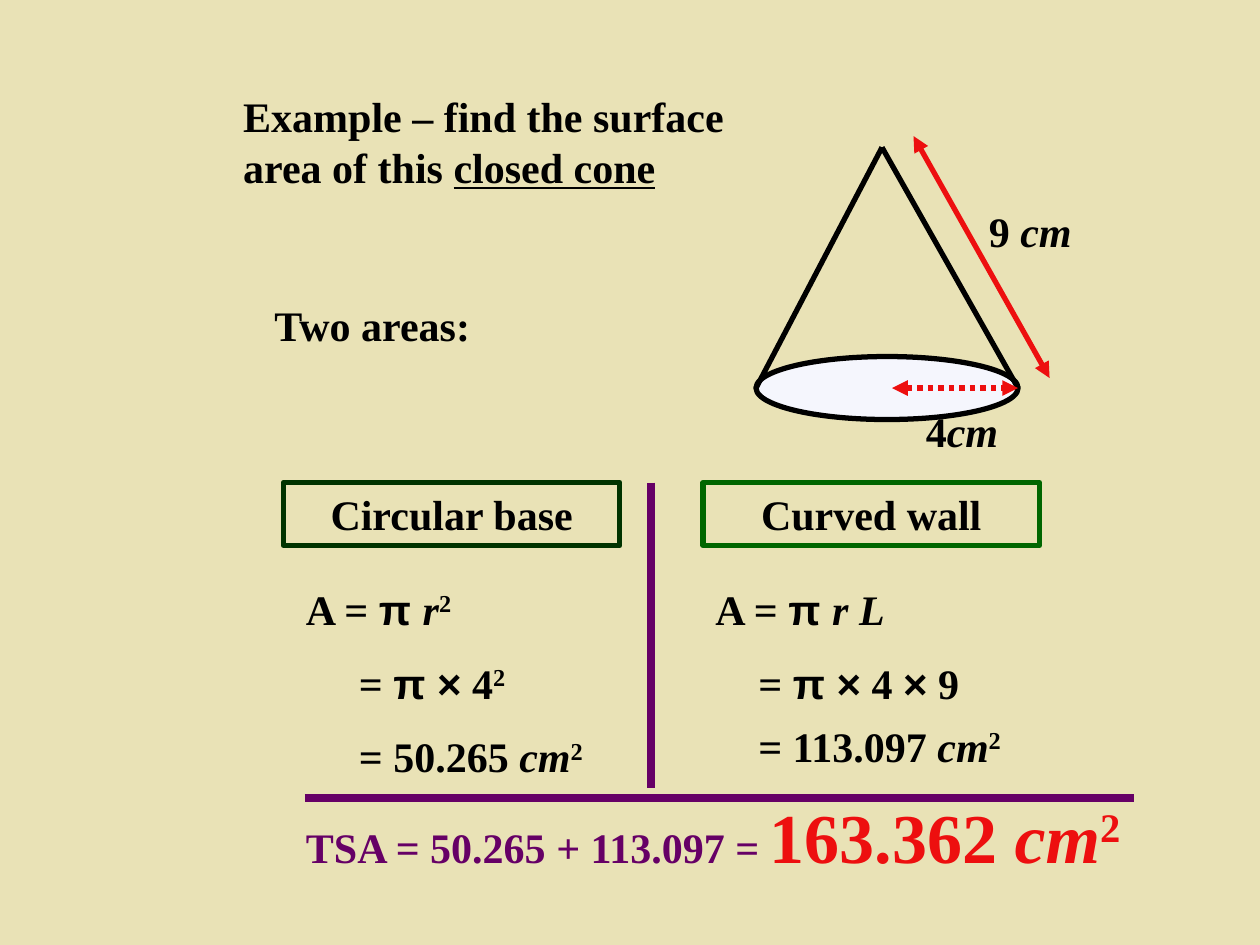
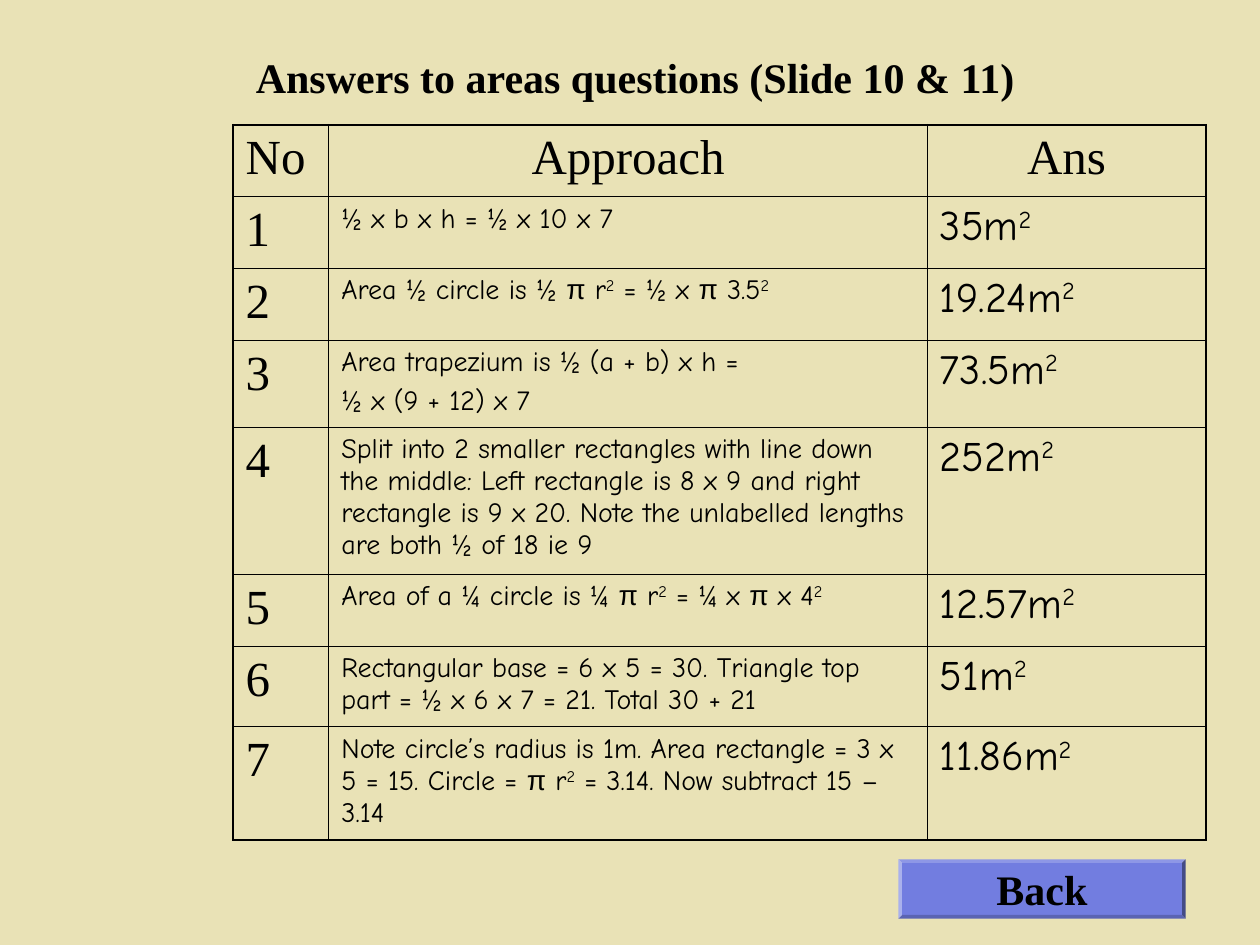
import pptx
import pptx.dml.color
import pptx.enum.dml
import pptx.enum.shapes
import pptx.enum.text
import pptx.oxml
import pptx.oxml.ns
import pptx.util

Inches = pptx.util.Inches
Pt = pptx.util.Pt
SHAPE = pptx.enum.shapes.MSO_SHAPE
ALIGN = pptx.enum.text.PP_ALIGN
ANCHOR = pptx.enum.text.MSO_ANCHOR

BACKGROUND = "E9E2B6"
BLACK = "000000"
RED = "ED0F0F"
PURPLE = "660066"
SERIF, SANS, COMIC = "Times New Roman", "Arial", "Comic Neue"

PI = ("π", "sans")
SQUARED = ("2", "super")
CM = ("cm", "italic")
TITLE_ONLY = 5

ANSWERS = [
    (0.57, [["½ x b x h = ½ x 10 x 7"]], "35m"),
    (0.57, [["Area ½ circle is ½ ", PI, " r", SQUARED, " = ½ x ", PI, " 3.5", SQUARED]], "19.24m"),
    (0.69, [["Area trapezium is ½ (a + b) x h ="], ["½ x (9 + 12) x 7"]], "73.5m"),
    (1.17, [["Split into 2 smaller rectangles with line down the middle: "
             "Left rectangle is 8 x 9 and right rectangle is 9 x 20. "
             "Note the unlabelled lengths are both ½ of 18 ie 9"]], "252m"),
    (0.57, [["Area of a ¼ circle is ¼ ", PI, " r", SQUARED, " = ¼ x ", PI, " x 4", SQUARED]], "12.57m"),
    (0.64, [["Rectangular base = 6 x 5 = 30. Triangle top part = ½ x 6 x 7 = 21. "
             "Total 30 + 21"]], "51m"),
    (0.9, [["Note circle’s radius is 1m. Area rectangle = 3 x 5 = 15. Circle = ", PI, " r", SQUARED,
            " = 3.14. Now subtract 15 – 3.14"]], "11.86m"),
]


def rgb(color):
    return pptx.dml.color.RGBColor.from_string(color)


def box(x, y, w, h):
    return Inches(x), Inches(y), Inches(w), Inches(h)


def add_run(p, text, style=""):
    """Add text; style is italic, underline, super, sans or result."""
    r = p.add_run()
    r.text = text
    if style == "super":
        r._r.get_or_add_rPr().set("baseline", "30000")
    elif style == "sans":
        r.font.name = SANS
    elif style == "italic":
        r.font.italic = True
    elif style == "underline":
        r.font.underline = True
    return r


def write(tf, *paragraphs, size=24, font=SERIF, bold=True, color=BLACK, align=ALIGN.LEFT, gap=0):
    """Fill a text frame; a paragraph is a list of strings and (text, style) pairs."""
    tf.word_wrap = True
    for i, parts in enumerate(paragraphs):
        p = tf.add_paragraph() if i else tf.paragraphs[0]
        p.alignment = align
        p.space_before = Pt(gap if i else 0)
        p.font.name, p.font.size, p.font.bold = font, Pt(size), bold
        p.font.color.rgb = rgb(color)
        for part in parts:
            add_run(p, *([part] if isinstance(part, str) else part))


def add_text(slide, x, y, w, h, *parts, **style):
    sp = slide.shapes.add_textbox(*box(x, y, w, h))
    write(sp.text_frame, parts, **style)
    return sp


def add_shape(slide, kind, x, y, w, h, fill=None, line=None):
    sp = slide.shapes.add_shape(kind, *box(x, y, w, h))
    sp.shadow.inherit = False
    if fill:
        sp.fill.solid()
        sp.fill.fore_color.rgb = rgb(fill)
    else:
        sp.fill.background()
    if line:
        sp.line.color.rgb = rgb(line)
        sp.line.width = Pt(3)
    else:
        sp.line.fill.background()
    return sp


def add_line(slide, start, end, color=BLACK, width=3, arrows=False, dotted=False):
    c = slide.shapes.add_connector(
        pptx.enum.shapes.MSO_CONNECTOR.STRAIGHT, *map(Inches, start + end))
    c.line.color.rgb = rgb(color)
    c.line.width = Pt(width)
    if dotted:
        c.line.dash_style = pptx.enum.dml.MSO_LINE.ROUND_DOT
    if arrows:
        for tag in ("a:headEnd", "a:tailEnd"):
            end_mark = pptx.oxml.ns.qn(tag)
            c.line._get_or_add_ln().makeelement(end_mark, {})
            mark = c.line._get_or_add_ln().makeelement(end_mark, {"type": "triangle"})
            c.line._get_or_add_ln().append(mark)
    sp_pr = c._element.spPr
    sp_pr.append(sp_pr.makeelement(pptx.oxml.ns.qn("a:effectLst"), {}))


def new_slide(prs, title_box, *title):
    slide = prs.slides.add_slide(prs.slide_layouts[TITLE_ONLY])
    slide.background.fill.solid()
    slide.background.fill.fore_color.rgb = rgb(BACKGROUND)
    sp = slide.shapes.title
    sp.left, sp.top, sp.width, sp.height = box(*title_box)
    tf = sp.text_frame
    tf.auto_size = pptx.enum.text.MSO_AUTO_SIZE.NONE
    tf.vertical_anchor = ANCHOR.TOP
    write(tf, title)
    return slide


def set_borders(cell, **widths):
    """Set border widths in points; keys are L, R, T and B."""
    tc_pr = cell._tc.get_or_add_tcPr()
    for side in "LRTB":
        tc_pr.append(pptx.oxml.parse_xml(
            f'<a:ln{side} {pptx.oxml.ns.nsdecls("a")} w="{Pt(widths[side])}">'
            f'<a:solidFill><a:srgbClr val="{BLACK}"/></a:solidFill></a:ln{side}>'))


def add_answer_table(slide):
    col_widths = [0.76, 4.75, 2.21]
    heights = [0.57] + [height for height, _, _ in ANSWERS]
    last_row, last_col = len(heights) - 1, len(col_widths) - 1
    table = slide.shapes.add_table(len(heights), len(col_widths),
                                   *box(1.85, 0.99, sum(col_widths), sum(heights))).table
    table.first_row = table.horz_banding = False
    for column, width in zip(table.columns, col_widths):
        column.width = Inches(width)
    for row, height in zip(table.rows, heights):
        row.height = Inches(height)

    for i, row in enumerate(table.rows):
        for j, cell in enumerate(row.cells):
            outer, inner = 1.08, 0.45
            set_borders(cell, L=inner if j else outer, R=outer if j == last_col else inner,
                        T=inner if i else outer, B=outer if i == last_row else inner)
            cell.fill.background()

    for j, heading in enumerate(["No", "Approach", "Ans"]):
        write(table.cell(0, j).text_frame, [heading], size=28, bold=False,
              align=ALIGN.CENTER if j else ALIGN.LEFT)
    for i, (_, approach, answer) in enumerate(ANSWERS, 1):
        number_cell, approach_cell, answer_cell = table.rows[i].cells
        write(number_cell.text_frame, [str(i)], size=28, bold=False)
        write(approach_cell.text_frame, *approach, size=16, font=COMIC, bold=False, gap=4)
        write(answer_cell.text_frame, [answer, SQUARED], font=COMIC, bold=False)


def add_cone(slide):
    apex, left, right = (7, 1.17), (6, 3.08), (8.08, 3.08)
    add_shape(slide, SHAPE.OVAL, 6, 2.83, 2.08, 0.5, "F5F6FD", BLACK)
    add_line(slide, apex, left)
    add_line(slide, apex, right)
    add_text(slide, 7.25, 3.17, 0.83, 0.5, "4", CM)
    add_line(slide, (7.08, 3.08), right, RED, arrows=True, dotted=True)
    add_text(slide, 7.75, 1.58, 1, 0.5, "9 ", CM)
    add_line(slide, (7.25, 1.08), (8.33, 3), RED, arrows=True)


def add_heading_box(slide, x, text, color):
    sp = add_shape(slide, SHAPE.RECTANGLE, x, 3.83, 2.67, 0.5, line=color)
    write(sp.text_frame, [text], align=ALIGN.CENTER)


def build_cone_slide(prs):
    slide = new_slide(prs, (1.83, 0.67, 4.25, 0.9),
                      "Example – find the surface area of this ", ("closed cone", "underline"))
    add_cone(slide)
    add_text(slide, 2.08, 2.33, 3.33, 0.5, "Two areas:")
    add_line(slide, (5.17, 3.83), (5.17, 6.25), PURPLE, 4.5)

    add_heading_box(slide, 2.25, "Circular base", "003300")
    add_text(slide, 2.33, 4.58, 2.5, 0.5, "A = ", ("π ", "sans"), ("r", "italic"), SQUARED)
    add_text(slide, 2.75, 5.17, 2.17, 0.5, "= ", ("π ×", "sans"), " 4", SQUARED)
    add_text(slide, 2.75, 5.75, 2.33, 0.5, "= 50.265 ", CM, SQUARED)

    add_heading_box(slide, 5.58, "Curved wall", "006600")
    add_text(slide, 5.58, 4.58, 2.92, 0.5, "A = ", ("π ", "sans"), ("r L", "italic"))
    add_text(slide, 5.92, 5.17, 2.75, 0.5, "= ", ("π ×", "sans"), " 4 ", ("×", "sans"), " 9")
    add_text(slide, 5.92, 5.67, 2.33, 0.5, "= 113.097 ", CM, SQUARED)

    total = add_text(slide, 2.33, 6.25, 6.92, 0.77, "TSA = 50.265 + 113.097 = ",
                     "163.362 ", CM, SQUARED, color=PURPLE)
    for r in total.text_frame.paragraphs[0].runs[1:]:
        r.font.size = Pt(40)
        r.font.color.rgb = rgb(RED)
    add_line(slide, (2.42, 6.33), (9, 6.33), PURPLE, 4.5)


def build_answers_slide(prs):
    slide = new_slide(prs, (1.93, 0.36, 7.24, 0.5), "Answers to areas questions (Slide 10 & 11)")
    add_answer_table(slide)
    back = add_shape(slide, SHAPE.BEVEL, 7.13, 6.82, 2.28, 0.47, "727DE0")
    back.adjustments[0] = 0.06
    back.text_frame.vertical_anchor = ANCHOR.MIDDLE
    write(back.text_frame, ["Back"], align=ALIGN.CENTER)


def main():
    prs = pptx.Presentation()
    prs.slide_width, prs.slide_height = Inches(10), Inches(7.5)
    build_cone_slide(prs)
    build_answers_slide(prs)
    prs.save("out.pptx")


if __name__ == "__main__":
    main()
